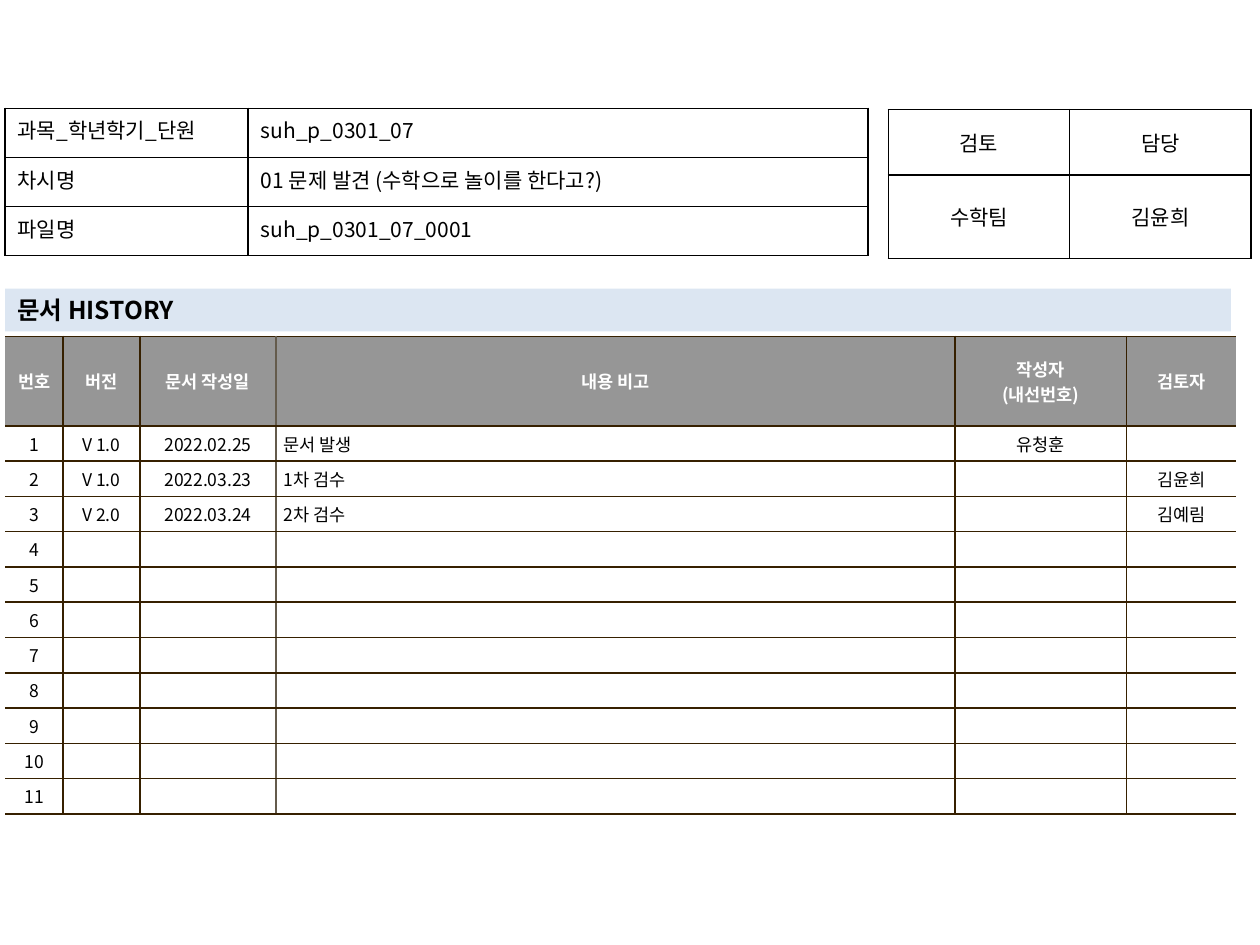
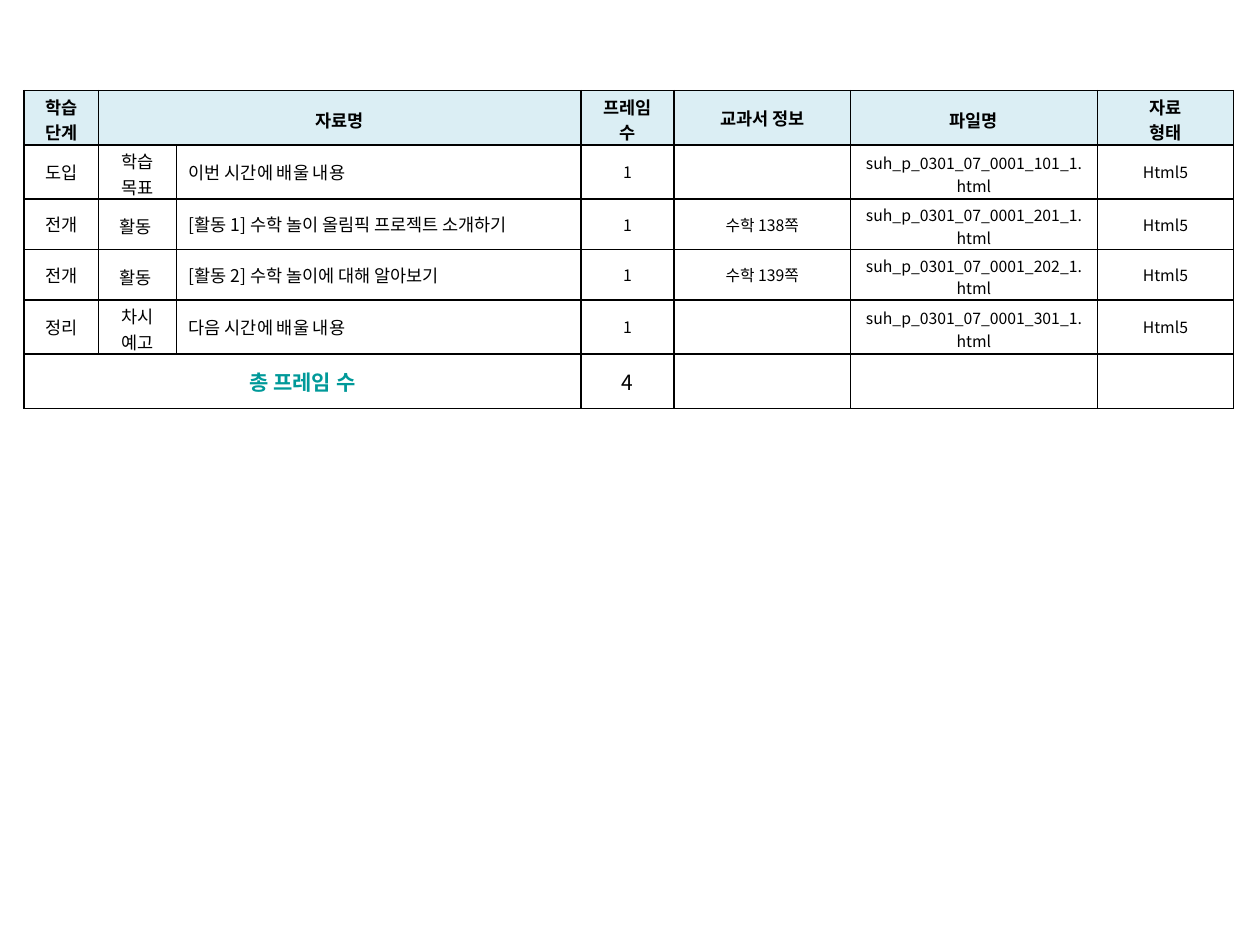
from lxml import etree
from pptx import Presentation
from pptx import util as u
from pptx.dml.color import RGBColor
from pptx.enum import shapes, text
from pptx.oxml import ns

FONT = "Noto Sans CJK KR"
BLACK = RGBColor(0x00, 0x00, 0x00)
WHITE = RGBColor(0xFF, 0xFF, 0xFF)
GRAY = RGBColor(0x96, 0x96, 0x96)
BROWN = RGBColor(0x36, 0x20, 0x00)
TAUPE = RGBColor(0x64, 0x5B, 0x4C)
BAND_BLUE = RGBColor(0xDC, 0xE6, 0xF2)
HEAD_BLUE = RGBColor(0xDB, 0xEE, 0xF4)
TEAL = RGBColor(0x00, 0x99, 0x99)
CENTER, LEFT, JUSTIFY = text.PP_ALIGN.CENTER, text.PP_ALIGN.LEFT, text.PP_ALIGN.JUSTIFY
MIDDLE, TOP = text.MSO_ANCHOR.MIDDLE, text.MSO_ANCHOR.TOP


def style_text(frame, size, color=BLACK, bold=False, align=CENTER):
    """Format every paragraph, including the size of an empty one."""
    for para in frame.paragraphs:
        para.alignment = align
        for span in para.runs:
            formats = {"name": FONT, "size": u.Pt(size), "bold": bold}
            for key, value in formats.items():
                setattr(span.font, key, value)
            span.font.color.rgb = color
            if span.font._element.find(ns.qn("a:ea")) is None:
                east = etree.SubElement(span.font._element, ns.qn("a:ea"))
                east.set("typeface", FONT)
        if not para.runs:
            para._p.get_or_add_endParaRPr().set("sz", str(size * 100))


def add_grid(page, left, top, widths, heights, rows, size, line=BLACK,
             insets=(0.1, 0.05, 0.05), anchor=MIDDLE, open_sides=False, special=None):
    """Add a ruled table; insets are side, top, bottom; special maps a vertical
    rule's index to its colour."""
    table = page.shapes.add_table(
        len(rows), len(widths), u.Inches(left), u.Inches(top),
        u.Inches(sum(widths)), u.Inches(sum(heights))).table
    table.first_row = table.horz_banding = False
    for column, width in zip(table.columns, widths):
        column.width = u.Inches(width)
    for row, height in zip(table.rows, heights):
        row.height = u.Inches(height)
    rules = {i: line for i in range(len(widths) + 1)}
    rules.update(special or {})
    if open_sides:
        rules[0] = rules[len(widths)] = None
    side, above, below = insets
    for r, words in enumerate(rows):
        for c, word in enumerate(words):
            cell = table.cell(r, c)
            cell.text = word
            cell.vertical_anchor = anchor
            cell.margin_left = cell.margin_right = u.Inches(side)
            cell.margin_top, cell.margin_bottom = u.Inches(above), u.Inches(below)
            style_text(cell.text_frame, size)
            edges = {"lnL": rules[c], "lnR": rules[c + 1], "lnT": line, "lnB": line}
            for tag, color in edges.items():
                edge = etree.SubElement(cell._tc.get_or_add_tcPr(), ns.qn("a:" + tag))
                edge.set("w", str(u.Pt(1)))
                if color is None:
                    etree.SubElement(edge, ns.qn("a:noFill"))
                else:
                    fill = etree.SubElement(edge, ns.qn("a:solidFill"))
                    etree.SubElement(fill, ns.qn("a:srgbClr")).set("val", str(color))
            cell.fill.background()
    return table


deck = Presentation()
deck.slide_width, deck.slide_height = u.Inches(10), u.Inches(7.5)

# Slide 1: document history
page = deck.slides.add_slide(deck.slide_layouts[6])
history_rows = [
    ["번호", "버전", "문서 작성일", "내용 비고", "작성자\n(내선번호)", "검토자"],
    ["1", "V 1.0", "2022.02.25", "문서 발생", "유청훈", ""],
    ["2", "V 1.0", "2022.03.23", "1차 검수", "", "김윤희"],
    ["3", "V 2.0", "2022.03.24", "2차 검수", "", "김예림"],
]
history_rows += [[str(number)] + [""] * 5 for number in range(4, 12)]
history = add_grid(page, 0.04, 2.67, [0.46, 0.61, 1.08, 5.39, 1.36, 0.87],
                   [0.71] + [0.25] * 11, history_rows, 10, BROWN,
                   insets=(0.06, 0.04, 0.04), open_sides=True, special={3: TAUPE})
for r in range(len(history_rows)):
    for c in range(6):
        cell = history.cell(r, c)
        cell.fill.solid()
        cell.fill.fore_color.rgb = WHITE if r else GRAY
        if r == 0:
            style_text(cell.text_frame, 10, WHITE, bold=True)
        elif c == 3:
            style_text(cell.text_frame, 10, align=LEFT)

add_grid(page, 7.05, 0.87, [1.44, 1.44], [0.52, 0.66],
         [["검토", "담당"], ["수학팀", "김윤희"]], 12)

band = page.shapes.add_shape(shapes.MSO_SHAPE.RECTANGLE, u.Inches(0.04),
                             u.Inches(2.29), u.Inches(9.73), u.Inches(0.34))
band.shadow.inherit = False
band.fill.solid()
band.fill.fore_color.rgb = BAND_BLUE
band.line.fill.background()
band.text_frame.text = "문서 HISTORY"
band.text_frame.word_wrap = True
band.text_frame.vertical_anchor = MIDDLE
style_text(band.text_frame, 14, bold=True, align=LEFT)

info_rows = [
    ["과목_학년학기_단원", "suh_p_0301_07"],
    ["차시명", "01 문제 발견 (수학으로 놀이를 한다고?)"],
    ["파일명", "suh_p_0301_07_0001"],
]
info = add_grid(page, 0.04, 0.86, [1.93, 4.92], [0.39] * 3, info_rows, 12, anchor=TOP)
for r in range(3):
    for c, align in enumerate([JUSTIFY, LEFT]):
        style_text(info.cell(r, c).text_frame, 12, align=align)

# Slide 2: lesson frames
page = deck.slides.add_slide(deck.slide_layouts[6])
lessons = [
    ("도입", "학습 목표", "이번 시간에 배울 내용", "", "101"),
    ("전개", "활동 ", "[활동 1] 수학 놀이 올림픽 프로젝트 소개하기", "수학 138쪽", "201"),
    ("전개", "활동 ", "[활동 2] 수학 놀이에 대해 알아보기", "수학 139쪽", "202"),
    ("정리", "차시 예고", "다음 시간에 배울 내용", "", "301"),
]
frame_rows = [["학습 단계", "자료명", "", "프레임 수", "교과서 정보", "파일명", "자료\n형태"]]
for stage, kind, title, pages, code in lessons:
    frame_rows.append([stage, kind, title, "1", pages,
                       f"suh_p_0301_07_0001_{code}_1.html", "Html5"])
frame_rows.append(["총 프레임 수", "", "", str(len(lessons)), "", "", ""])
frames = add_grid(page, 0.19, 0.72, [0.59, 0.62, 3.21, 0.74, 1.4, 1.96, 1.08],
                  [0.43, 0.43, 0.4, 0.4, 0.43, 0.43], frame_rows, 10,
                  insets=(0.1, 0.03, 0))
for c in range(7):
    head = frames.cell(0, c)
    head.fill.solid()
    head.fill.fore_color.rgb = HEAD_BLUE
    style_text(head.text_frame, 10, bold=True)
    for r in range(1, len(lessons) + 1):
        style_text(frames.cell(r, c).text_frame, 10 if c < 3 else 9,
                   align=LEFT if c == 2 else CENTER)
# Single-line columns sit exactly in the middle of their rows
for r in range(len(frame_rows)):
    for c in (0, 2, 3, 4, 6):
        if r or c in (2, 4):
            frames.cell(r, c).margin_bottom = u.Inches(0.03)
frames.cell(0, 1).merge(frames.cell(0, 2))
frames.cell(5, 0).merge(frames.cell(5, 2))
style_text(frames.cell(5, 0).text_frame, 12, TEAL, bold=True)
style_text(frames.cell(5, 3).text_frame, 12)

deck.save("out.pptx")
